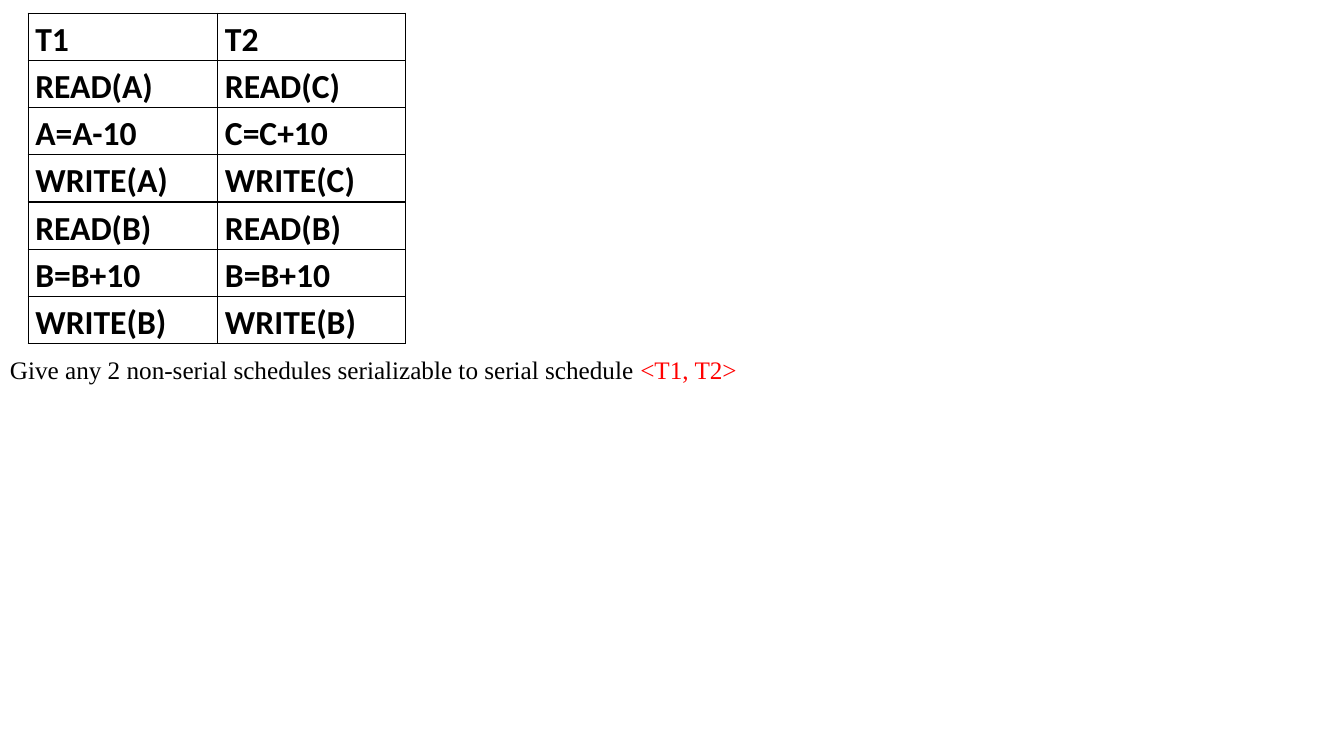
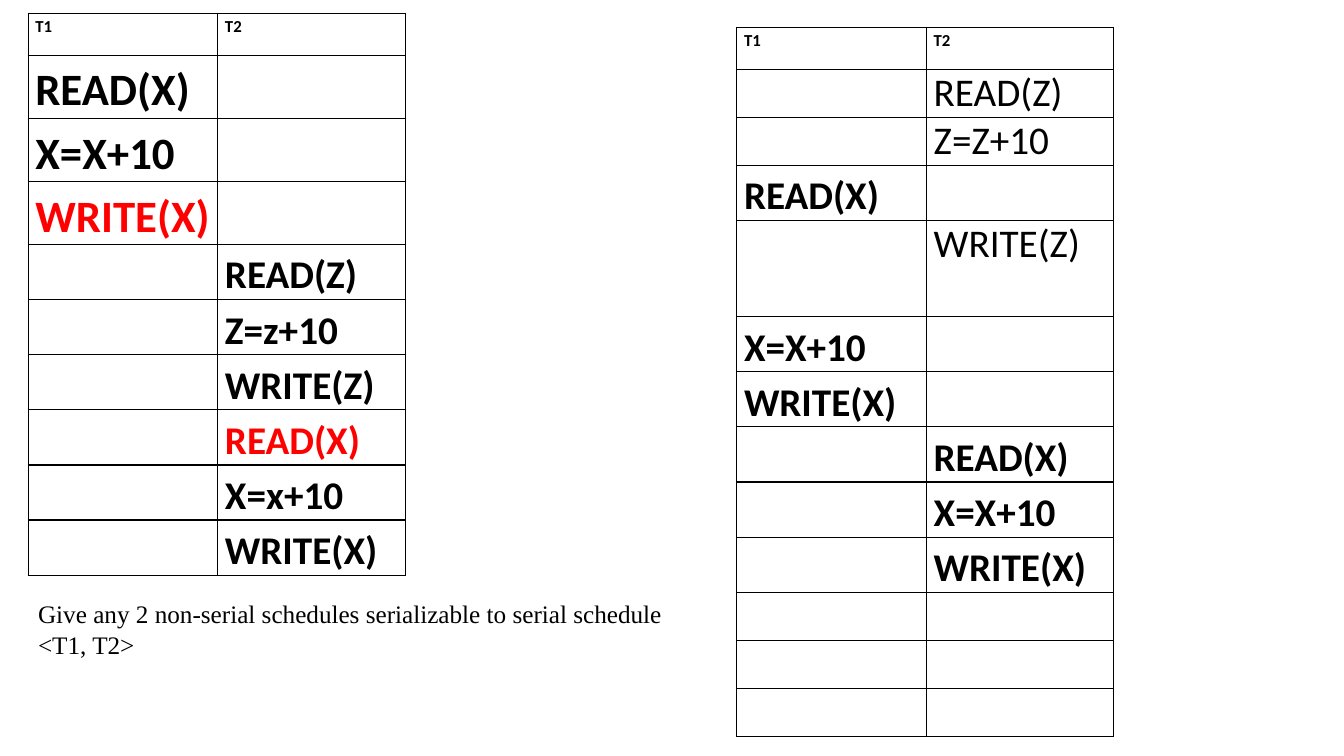
from lxml.etree import SubElement
from pptx import Presentation
from pptx.dml.color import RGBColor
from pptx.oxml.ns import qn
from pptx.util import Cm, Pt

BLACK = RGBColor(0x00, 0x00, 0x00)
RED = RGBColor(0xFF, 0x00, 0x00)
TABLE_FONT = "Calibri"
QUESTION_FONT = "Times New Roman"
COLUMN_WIDTHS = (4.78, 4.72)
CELL_INSET = Cm(0.18)
QUESTION = "Give any 2 non-serial schedules serializable to serial schedule "
ORDER = "<T1, T2>"


def add_text(para, text, size=18, font=QUESTION_FONT, colour=BLACK, bold=False):
    span = para.add_run()
    span.text = text
    span.font.size = Pt(size)
    span.font.name = font
    span.font.color.rgb = colour
    span.font.bold = bold


def add_schedule(page, left, top, rows):
    """Draw a T1/T2 table; each row is (height in cm, T1 text, T2 text, text format)."""
    height = sum(row[0] for row in rows)
    frame = page.shapes.add_table(len(rows), 2, Cm(left), Cm(top),
                                  Cm(sum(COLUMN_WIDTHS)), Cm(height))
    table = frame.table
    table.first_row = table.horz_banding = False
    for column, width in zip(table.columns, COLUMN_WIDTHS):
        column.width = Cm(width)
    for row, (row_height, first, second, style) in zip(table.rows, rows):
        row.height = Cm(row_height)
        for cell, text in zip(row.cells, (first, second)):
            cell.margin_left = cell.margin_right = CELL_INSET
            cell.margin_top = cell.margin_bottom = 0
            properties = cell._tc.get_or_add_tcPr()
            for side in ("a:lnL", "a:lnR", "a:lnT", "a:lnB"):
                line = SubElement(properties, qn(side), w=str(Pt(1)))
                fill = SubElement(line, qn("a:solidFill"))
                SubElement(fill, qn("a:srgbClr"), val=str(BLACK))
            cell.fill.background()
            if text:
                para = cell.text_frame.paragraphs[0]
                if style["bold"]:
                    para.line_spacing = 1.15
                    para.space_after = Pt(10)
                add_text(para, text, font=TABLE_FONT, **style)


HEADER = {"size": 12, "bold": True}
MEDIUM = {"size": 24, "bold": True}
LARGE = {"size": 28, "bold": True}
PLAIN = {"size": 28, "bold": False}
HUGE = {"size": 32, "bold": True}

transactions = [
    ("T1", "T2"),
    ("READ(A)", "READ(C)"),
    ("A=A-10", "C=C+10"),
    ("WRITE(A)", "WRITE(C)"),
    ("READ(B)", "READ(B)"),
    ("B=B+10", "B=B+10"),
    ("WRITE(B)", "WRITE(B)"),
]
serial_schedule = [
    (1.06, "T1", "T2", HEADER),
    (1.59, "READ(X)", "", HUGE),
    (1.59, "X=X+10", "", HUGE),
    (1.59, "WRITE(X)", "", HUGE | {"colour": RED}),
    (1.39, "", "READ(Z)", LARGE),
    (1.39, "", "Z=z+10", LARGE),
    (1.39, "", "WRITE(Z)", LARGE),
    (1.39, "", "READ(X)", LARGE | {"colour": RED}),
    (1.39, "", "X=x+10", LARGE),
    (1.39, "", "WRITE(X)", LARGE),
]
interleaved_schedule = [
    (1.06, "T1", "T2", HEADER),
    (1.21, "", "READ(Z)", PLAIN),
    (1.21, "", "Z=Z+10", PLAIN),
    (1.39, "READ(X)", "", LARGE),
    (2.42, "", "WRITE(Z)", PLAIN),
    (1.39, "X=X+10", "", LARGE),
    (1.39, "WRITE(X)", "", LARGE),
    (1.39, "", "READ(X)", LARGE),
    (1.39, "", "X=X+10", LARGE),
    (1.39, "", "WRITE(X)", LARGE),
] + [(1.21, "", "", PLAIN)] * 3

# Each page: its tables (left, top, rows), question box and colour of the order
pages = [
    ([(0.71, 0.33, [(1.19, *pair, MEDIUM) for pair in transactions])],
     (0, 8.81, 27.43, 1.02), RED),
    ([(0.71, 0.33, serial_schedule), (18.57, 0.69, interleaved_schedule)],
     (0.71, 14.96, 16.94, 2.57), BLACK),
]

deck = Presentation()
deck.slide_width = Cm(33.87)
deck.slide_height = Cm(19.05)
blank_layout = deck.slide_layouts.get_by_name("Blank")

for schedules, question_area, order_colour in pages:
    page = deck.slides.add_slide(blank_layout)
    for left, top, rows in schedules:
        add_schedule(page, left, top, rows)
    box = page.shapes.add_textbox(*map(Cm, question_area))
    box.text_frame.word_wrap = True
    para = box.text_frame.paragraphs[0]
    add_text(para, QUESTION)
    add_text(para, ORDER, colour=order_colour)

deck.save("out.pptx")
